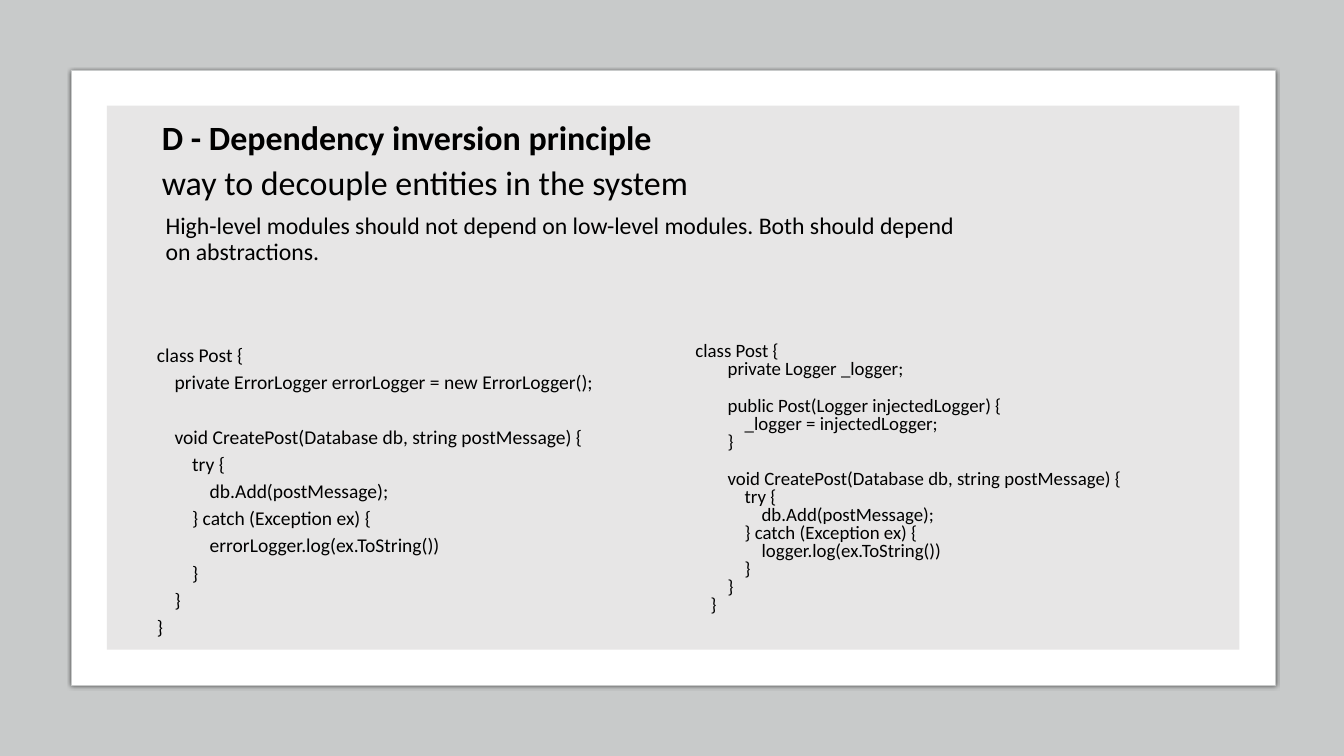
from lxml.etree import SubElement
from pptx import Presentation
from pptx.dml.color import RGBColor
from pptx.enum.shapes import MSO_SHAPE as Shape
from pptx.oxml.ns import qn
from pptx.util import Pt

SLIDE_WIDTH, SLIDE_HEIGHT = 1583.28, 890.64
FONT = "Calibri"

COUPLED_POST = """class Post {
    private ErrorLogger errorLogger = new ErrorLogger();

    void CreatePost(Database db, string postMessage) {
        try {
            db.Add(postMessage);
        } catch (Exception ex) {
            errorLogger.log(ex.ToString())
        }
    }
}"""

INJECTED_POST = """class Post {
    private Logger _logger;

    public Post(Logger injectedLogger) {
        _logger = injectedLogger;
    }

    void CreatePost(Database db, string postMessage) {
        try {
            db.Add(postMessage);
        } catch (Exception ex) {
            logger.log(ex.ToString())
        }
    }
}"""


def color(hex_code):
    return RGBColor.from_string(hex_code)


def add_panel(slide, left, top, width, height, fill, border=None):
    panel = slide.shapes.add_shape(
        Shape.RECTANGLE, Pt(left), Pt(top), Pt(width), Pt(height))
    panel.shadow.inherit = False
    panel.fill.solid()
    panel.fill.fore_color.rgb = color(fill)
    if border:
        panel.line.color.rgb = color(border)
        panel.line.width = Pt(0.75)
    else:
        panel.line.fill.background()
    return panel


def add_drop_shadow(panel):
    effects = panel._element.spPr.find(qn("a:effectLst"))
    shadow = SubElement(
        effects, qn("a:outerShdw"), blurRad=str(Pt(4.5)), dist=str(Pt(1.5)),
        dir="5400000", algn="t", rotWithShape="0")
    black = SubElement(shadow, qn("a:srgbClr"), val="000000")
    SubElement(black, qn("a:alpha"), val="63000")


def add_text_frame(slide, left, top, width, height):
    box = slide.shapes.add_textbox(Pt(left), Pt(top), Pt(width), Pt(height))
    box.text_frame.word_wrap = True
    return box.text_frame


def write_line(frame, text, size, spacing, before=0, bold=False, indent=0):
    first = frame.paragraphs[0]
    paragraph = frame.add_paragraph() if first.runs else first
    paragraph.add_run().text = text
    paragraph.line_spacing = spacing
    paragraph.space_before = Pt(before)
    paragraph.font.name = FONT
    paragraph.font.size = Pt(size)
    paragraph.font.bold = bold
    paragraph.font.color.rgb = color("000000")
    paragraph._p.get_or_add_pPr().set("marL", str(Pt(indent)))


def add_code(slide, left, top, width, height, code, size, gap=0, hanging=0):
    frame = add_text_frame(slide, left, top, width, height)
    spacing = 0.8
    blank_line = size * 1.22 * spacing + gap
    indent_step = size * 0.9
    before = base = 0
    for line in code.splitlines():
        statement = line.lstrip()
        if not statement:
            before += blank_line
            continue
        depth = (len(line) - len(statement)) // 4
        write_line(frame, statement, size, spacing, before,
                   indent=base + depth * indent_step)
        before, base = gap, hanging


def main():
    deck = Presentation()
    deck.slide_width, deck.slide_height = Pt(SLIDE_WIDTH), Pt(SLIDE_HEIGHT)
    slide = deck.slides.add_slide(deck.slide_layouts[6])

    add_panel(slide, 0, 0, SLIDE_WIDTH, SLIDE_HEIGHT, "C8CACA")
    frame_panel = add_panel(
        slide, 84.24, 82.8, 1417.68, 724.32, "FFFFFF", "C8CACA")
    add_drop_shadow(frame_panel)
    add_panel(slide, 126, 124.56, 1334.16, 640.8, "E7E6E6")

    heading = add_text_frame(slide, 183.6, 139, 1215.36, 106)
    write_line(heading, "D - Dependency inversion principle", 40, 0.9, bold=True)
    write_line(heading, "way to decouple entities in the system", 40, 0.9, 10)

    add_code(slide, 177.84, 405.36, 581.76, 350.64, COUPLED_POST, 23, gap=10)
    add_code(slide, 812.16, 401.04, 591.12, 350.64, INJECTED_POST, 22.2,
             hanging=18)

    summary = add_text_frame(slide, 187.92, 248.4, 950.4, 135.36)
    write_line(summary, "High-level modules should not depend on low-level "
               "modules. Both should depend on abstractions.", 28, 0.9)

    deck.save("out.pptx")


if __name__ == "__main__":
    main()
